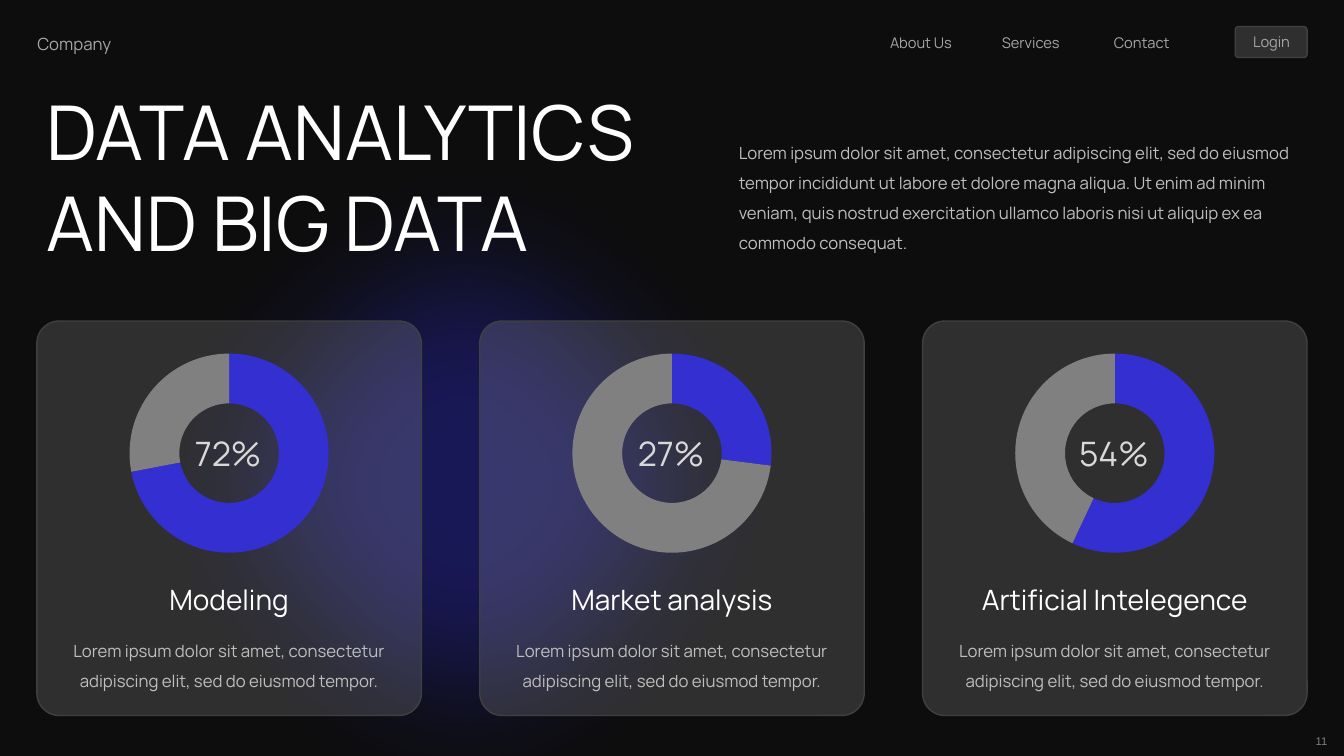
"""Build the dark data analytics slide with three doughnut cards."""
from pptx import Presentation
from pptx.chart.data import CategoryChartData
from pptx.dml.color import RGBColor
from pptx.enum.chart import XL_CHART_TYPE
from pptx.enum.shapes import MSO_SHAPE
from pptx.enum.text import PP_ALIGN
from pptx.oxml.ns import qn
from pptx.util import Cm, Pt
from lxml import etree

DOUGHNUT = XL_CHART_TYPE.DOUGHNUT
OVAL, ROUNDED = MSO_SHAPE.OVAL, MSO_SHAPE.ROUNDED_RECTANGLE
LEFT, CENTER, RIGHT = PP_ALIGN.LEFT, PP_ALIGN.CENTER, PP_ALIGN.RIGHT
COLORS = {
    "background": "0D0D0D", "panel": "F2F2F2", "border": "404040",
    "accent": "332FD0", "rest": "808080", "glow": "26239C", "pale glow": "8582E3",
    "title": "FFFFFF", "body": "BFBFBF", "menu": "A6A6A6",
    "percent": "D9D9D9", "number": "7F7F7F", "chart text": "000000",
}
FONT = "Manrope"


def add_shape(kind, box, color, alpha, border=None, soft_edge=None):
    """Add a transparent filled shape with optional border and soft edge."""
    shape = slide.shapes.add_shape(kind, *map(Cm, box))
    shape.shadow.inherit = False
    shape.fill.solid()
    shape.fill.fore_color.rgb = RGBColor.from_string(COLORS[color])
    properties = shape.element.spPr
    fill_color = properties.find(qn("a:solidFill")).find(qn("a:srgbClr"))
    etree.SubElement(fill_color, qn("a:alpha"), val=str(alpha * 1000))
    if border:
        shape.line.color.rgb = RGBColor.from_string(COLORS[border])
        shape.line.width = Pt(1)
    else:
        shape.line.fill.background()
    if soft_edge:
        effects = properties.find(qn("a:effectLst"))
        etree.SubElement(effects, qn("a:softEdge"), rad=str(Cm(soft_edge)))
    return shape


def add_text(text, box, size, color, align=LEFT, spacing=None, font=FONT):
    """Add a wrapping text box holding one run."""
    frame = slide.shapes.add_textbox(*map(Cm, box)).text_frame
    frame.word_wrap = True
    paragraph = frame.paragraphs[0]
    paragraph.alignment = align
    if spacing:
        paragraph.line_spacing = spacing
    run = paragraph.add_run()
    run.text = text
    run.font.size = Pt(size)
    run.font.name = font
    run.font.color.rgb = RGBColor.from_string(COLORS[color])


presentation = Presentation()
presentation.slide_width = Cm(33.87)
presentation.slide_height = Cm(19.05)
slide = presentation.slides.add_slide(presentation.slide_layouts[6])
slide.background.fill.solid()
slide.background.fill.fore_color.rgb = RGBColor.from_string(COLORS["background"])

login_button = add_shape(ROUNDED, (31.13, 0.67, 1.81, 0.78), "panel", 15, "border")
login_button.adjustments[0] = 0.105
add_text("Company", (0.69, 0.73, 2.6, 0.77), 12, "menu")
for index, label in enumerate(("About Us", "Services", "Contact")):
    add_text(label, (22.18 + index * 2.82, 0.73, 2.21, 0.72), 10.5, "menu")
add_text("Login", (31.14, 0.71, 1.81, 0.72), 10.5, "menu", CENTER)
add_text("11", (31.49, 18.38, 2.21, 0.6), 8, "number", RIGHT, font="Arial")

add_shape(OVAL, (28.09, 10.46, 9.09, 9.09), "pale glow", 37, soft_edge=3.53)
add_shape(OVAL, (2.13, 2.54, 19.25, 19.25), "glow", 52, soft_edge=3.53)

add_text("DATA ANALYTICS AND BIG DATA", (0.93, 2.02, 16.48, 4.88), 54, "title")
add_text(
    "Lorem ipsum dolor sit amet, consectetur adipiscing elit, sed do eiusmod tempor "
    "incididunt ut labore et dolore magna aliqua. Ut enim ad minim veniam, quis nostrud "
    "exercitation ullamco laboris nisi ut aliquip ex ea commodo consequat.",
    (18.37, 3.21, 14.55, 3.33), 12, "body", spacing=1.5)

CARD_LEFT, CARD_STEP, CARD_WIDTH = 0.93, 11.16, 9.69
CARDS = (
    ("Modeling", "72%", (72, 28)),
    ("Market analysis", "27%", (27, 73)),
    ("Artificial Intelegence", "54%", (57, 43)),
)
for index, (heading, percent, values) in enumerate(CARDS):
    left = CARD_LEFT + index * CARD_STEP
    card = add_shape(ROUNDED, (left, 8.09, CARD_WIDTH, 9.94), "panel", 15, "border")
    card.adjustments[0] = 0.058

    data = CategoryChartData()
    data.categories = ("1", "2")
    data.add_series("Series 1", values)
    chart_box = (left + 0.55, 8.56, 8.59, 5.72)
    chart = slide.shapes.add_chart(DOUGHNUT, *map(Cm, chart_box), data).chart
    chart.has_title = False
    chart.has_legend = False
    chart.font.name = FONT
    chart.font.size = Pt(10)
    chart.font.color.rgb = RGBColor.from_string(COLORS["chart text"])
    plot = chart.plots[0]
    plot.vary_by_categories = True
    for hole in chart.element.iter(qn("c:holeSize")):
        hole.set("val", "57")
    for position, color in enumerate(("accent", "rest")):
        part = plot.series[0].points[position].format
        part.fill.solid()
        part.fill.fore_color.rgb = RGBColor.from_string(COLORS[color])
        part.line.fill.background()

    add_text(percent, (left + 3.39, 10.78, 2.86, 1.28), 24, "percent", CENTER)
    add_text(heading, (left, 14.55, CARD_WIDTH, 1.11), 20, "title", CENTER)
    add_text("Lorem ipsum dolor sit amet, consectetur adipiscing elit, sed do eiusmod tempor.",
             (left, 15.76, CARD_WIDTH, 1.8), 12, "body", CENTER, 1.5)

presentation.save("out.pptx")
